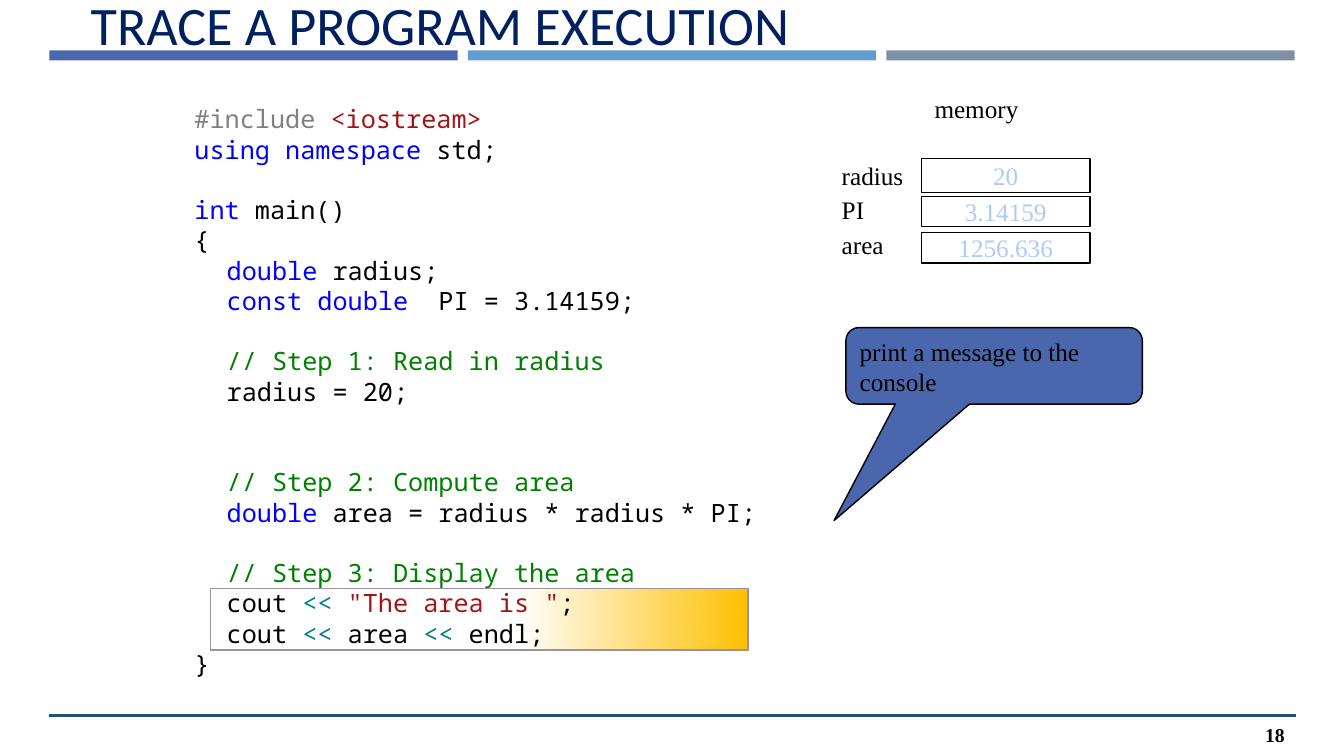
from lxml import etree
from pptx import Presentation
from pptx.dml.color import RGBColor
from pptx.enum import shapes, text
from pptx.oxml import ns
from pptx.util import Inches, Pt

BLACK = RGBColor(0x00, 0x00, 0x00)
NAVY = RGBColor(0x00, 0x20, 0x60)
INDIGO = RGBColor(0x4A, 0x66, 0xAC)
SKY = RGBColor(0x62, 0x9D, 0xD1)
SLATE = RGBColor(0x7F, 0x8F, 0xA9)
RULE = RGBColor(0x23, 0x4F, 0x77)
AMBER = RGBColor(0xFF, 0xC0, 0x00)
MAUVE = RGBColor(0x9D, 0x90, 0xA0)
VALUE = RGBColor(0xAC, 0xCB, 0xF9)
GRAY = RGBColor(0x80, 0x80, 0x80)
STRING = RGBColor(0xA3, 0x15, 0x15)
KEYWORD = RGBColor(0x00, 0x00, 0xFF)
COMMENT = RGBColor(0x00, 0x80, 0x00)
OPERATOR = RGBColor(0x00, 0x80, 0x80)

SERIF = "Times New Roman"
MONO = "Noto Sans Mono"
LINE_HEIGHT = 21.6

deck = Presentation()
deck.slide_width, deck.slide_height = Inches(13.33), Inches(7.5)
page = deck.slides.add_slide(deck.slide_layouts[5])


def add_span(para, words, color=BLACK, size=18, font=SERIF, bold=False):
    span = para.add_run()
    span.text = words
    span.font.name, span.font.size, span.font.bold = font, Pt(size), bold
    span.font.color.rgb = color


def add_box(left, top, width, height, kind=None):
    """Add a shape of the given kind, or a text box when there is none."""
    place = [Inches(n) for n in (left, top, width, height)]
    if kind is None:
        box = page.shapes.add_textbox(*place)
    else:
        box = page.shapes.add_shape(kind, *place)
        box.shadow.inherit = False
        box.line.color.rgb = BLACK
        box.line.width = Pt(1)
    box.text_frame.word_wrap = True
    box.text_frame.vertical_anchor = text.MSO_ANCHOR.TOP
    box.text_frame.paragraphs[0].alignment = text.PP_ALIGN.LEFT
    return box


RECTANGLE = shapes.MSO_SHAPE.RECTANGLE

# Header bars, title and footer
for column, color in enumerate((INDIGO, SKY, SLATE)):
    bar = add_box(0.49 + column * 4.15, 0.5, 4.05, 0.1, RECTANGLE)
    bar.fill.solid()
    bar.fill.fore_color.rgb = color
    bar.line.fill.background()

title = page.shapes.title
title.left, title.top = Inches(0.8), Inches(0.03)
title.width, title.height = Inches(8.91), Inches(0.58)
title.text_frame.vertical_anchor = text.MSO_ANCHOR.BOTTOM
title.text_frame.auto_size = text.MSO_AUTO_SIZE.NONE
title_para = title.text_frame.paragraphs[0]
title_para.alignment = text.PP_ALIGN.LEFT
add_span(title_para, "TRACE A PROGRAM EXECUTION", NAVY, 38.7, "Calibri")

footer_rule = page.shapes.add_connector(
    shapes.MSO_CONNECTOR.STRAIGHT, Inches(12.85), Inches(7.1), Inches(0.49), Inches(7.1))
footer_rule.line.color.rgb = RULE
footer_rule.line.width = Pt(2.25)
etree.SubElement(footer_rule.element.spPr, ns.qn("a:effectLst"))

number = add_box(12.38, 7.09, 0.46, 0.4)
number.text_frame.vertical_anchor = text.MSO_ANCHOR.MIDDLE
number_para = number.text_frame.paragraphs[0]
number_para.alignment = text.PP_ALIGN.RIGHT
add_span(number_para, "18", size=14, bold=True)

# Callout
callout = add_box(8.39, 3.25, 2.94, 0.76, shapes.MSO_SHAPE.ROUNDED_RECTANGULAR_CALLOUT)
for index, value in enumerate((-0.54, 2.02, 0.17)):
    callout.adjustments[index] = value
callout.fill.solid()
callout.fill.fore_color.rgb = INDIGO
add_span(callout.text_frame.paragraphs[0], "print a message to the console")

# Highlight behind the current statements, fading in from transparent
highlight = add_box(2.09, 5.84, 5.33, 0.61, RECTANGLE)
highlight.line.color.rgb = MAUVE
highlight.fill.gradient()
highlight.fill.gradient_angle = 0
for stop, position in zip(highlight.fill.gradient_stops, (0.57, 1)):
    stop.color.rgb = AMBER
    stop.position = position
clear_color = next(highlight.element.spPr.iter(ns.qn("a:srgbClr")))
etree.SubElement(clear_color, ns.qn("a:alpha"), val="0")

# Memory contents
memory = add_box(9.17, 0.88, 1.58, 0.4)
add_span(memory.text_frame.paragraphs[0], "memory")
for name, value, label_top, cell_top, cell_height in (
        ("radius", "20", 1.54, 1.57, 0.34),
        ("PI", "3.14159", 1.88, 1.95, 0.3),
        ("area", "1256.636", 2.23, 2.31, 0.3)):
    label = add_box(8.25, label_top, 0.92, 0.4)
    add_span(label.text_frame.paragraphs[0], name)
    cell = add_box(9.14, cell_top, 1.67, cell_height, RECTANGLE)
    cell.fill.background()
    frame = cell.text_frame
    frame.word_wrap = False
    frame.vertical_anchor = text.MSO_ANCHOR.MIDDLE
    frame.margin_left = frame.margin_right = Inches(0.01)
    frame.margin_top = frame.margin_bottom = Inches(0.01)
    frame.paragraphs[0].alignment = text.PP_ALIGN.CENTER
    add_span(frame.paragraphs[0], value, VALUE)

# Program: blank lines before, indent in inches, coloured spans
program = (
    (0, 0, (("#include ", GRAY), ("<iostream>", STRING))),
    (0, 0, (("using namespace", KEYWORD), (" std;", BLACK))),
    (1, 0, (("int", KEYWORD), (" main()", BLACK))),
    (0, 0, (("{", BLACK),)),
    (0, 0.32, (("double", KEYWORD), (" radius;", BLACK))),
    (0, 0.32, (("const double  ", KEYWORD), ("PI = 3.14159;", BLACK))),
    (1, 0.32, (("// Step 1: Read in radius", COMMENT),)),
    (0, 0.32, (("radius = 20;", BLACK),)),
    (2, 0.32, (("// Step 2: Compute area", COMMENT),)),
    (0, 0.32, (("double", KEYWORD), (" area = radius * radius * PI;", BLACK))),
    (1, 0.32, (("// Step 3: Display the area", COMMENT),)),
    (0, 0.32, (("cout ", BLACK), ("<< ", OPERATOR), ('"The area is "', STRING), (";", BLACK))),
    (0, 0.32, (("cout ", BLACK), ("<<", OPERATOR), (" area ", BLACK),
               ("<< ", OPERATOR), ("endl;", BLACK))),
    (0, 0, (("}", BLACK),)),
)
code = add_box(1.83, 0.98, 6.08, 5.99).text_frame
for row, (blank_lines, indent, spans) in enumerate(program):
    para = code.add_paragraph() if row else code.paragraphs[0]
    if blank_lines:
        para.space_before = Pt(blank_lines * LINE_HEIGHT)
    if indent:
        properties = para._p.get_or_add_pPr()
        properties.set("marL", str(Inches(indent)))
        properties.set("indent", "0")
    for words, color in spans:
        add_span(para, words, color, font=MONO)

deck.save("out.pptx")
